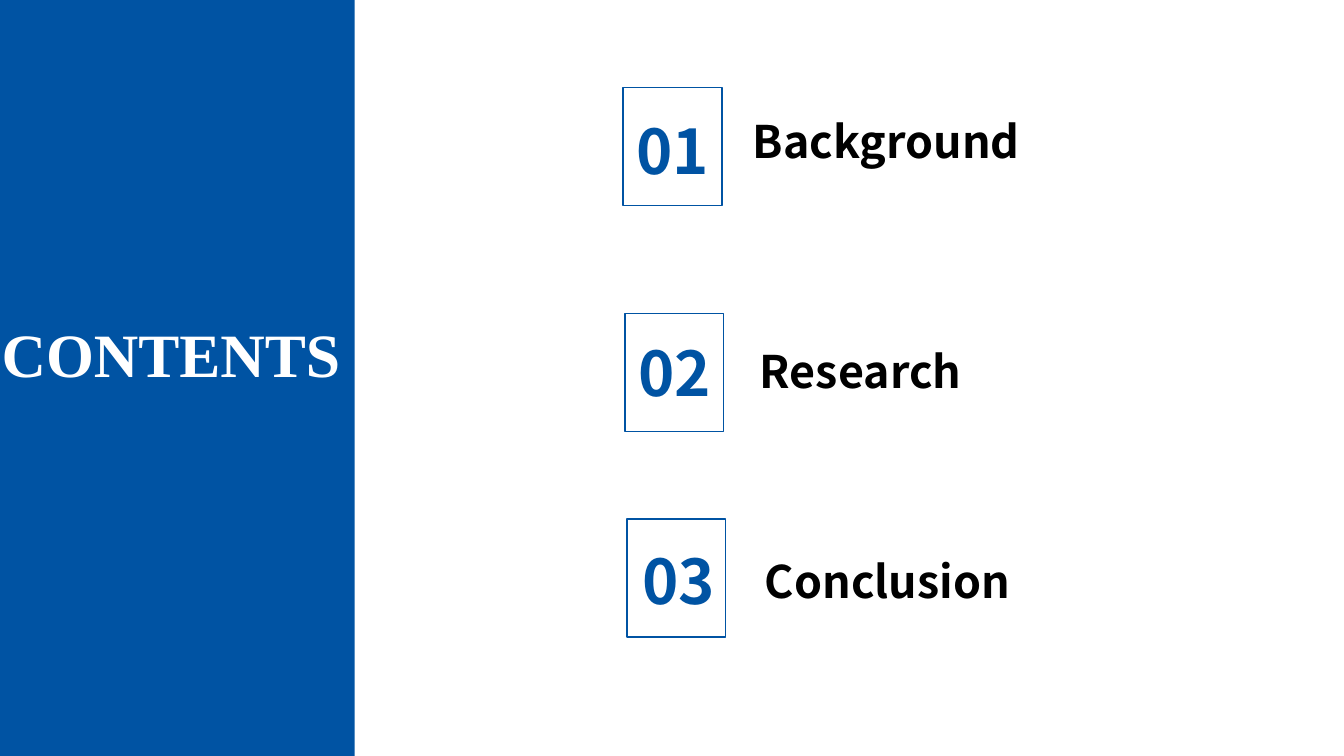
from pptx import Presentation
from pptx.dml.color import RGBColor
from pptx.enum.shapes import MSO_SHAPE
from pptx.enum.text import MSO_ANCHOR, MSO_AUTO_SIZE, PP_ALIGN
from pptx.util import Pt

COLORS = {"blue": "0053A3", "white": "FFFFFF", "black": "000000"}
SANS, SERIF = "Noto Sans CJK SC", "Times New Roman"

TITLE = "CONTENTS"
# number, label, then (left, top) of frame and (left, top, width) of each text
SECTIONS = [
    ("01", "Background", (445, 62.6), (445, 77, 70.6), (530.6, 77.8, 229)),
    ("02", "Research", (446.4, 223.9), (445, 235.4, 73.4), (535.7, 241.9, 202.3)),
    ("03", "Conclusion", (447.8, 370.8), (447.8, 384.5, 74.2), (539.3, 391.7, 200.9)),
]
FRAME_W, FRAME_H = 70.6, 84.2
NUMBER_H, LABEL_H = 60.5, 46


def rgb(name):
    return RGBColor.from_string(COLORS[name])


def write(sp, text, size, color, font=SANS, align=PP_ALIGN.LEFT):
    tf = sp.text_frame
    tf.word_wrap = True
    tf.auto_size = MSO_AUTO_SIZE.SHAPE_TO_FIT_TEXT
    tf.vertical_anchor = MSO_ANCHOR.TOP
    p = tf.paragraphs[0]
    p.alignment = align
    r = p.add_run()
    r.text = text
    r.font.name, r.font.size, r.font.bold = font, Pt(size), True
    r.font.color.rgb = rgb(color)


def add_rect(shapes, left, top, width, height, fill=None, line=None):
    sp = shapes.add_shape(MSO_SHAPE.RECTANGLE, Pt(left), Pt(top), Pt(width), Pt(height))
    sp.shadow.inherit = False
    if fill:
        sp.fill.solid()
        sp.fill.fore_color.rgb = rgb(fill)
    else:
        sp.fill.background()
    if line:
        sp.line.color.rgb = rgb(line)
        sp.line.width = Pt(1)
    else:
        sp.line.fill.background()
    return sp


def add_section(s, number, label, frame_at, number_at, label_at):
    shapes = s.shapes.add_group_shape().shapes
    x, y, w = label_at
    write(shapes.add_textbox(Pt(x), Pt(y), Pt(w), Pt(LABEL_H)), label, 32, "black")
    x, y, w = number_at
    write(shapes.add_textbox(Pt(x), Pt(y), Pt(w), Pt(NUMBER_H)), number, 44, "blue",
          align=PP_ALIGN.CENTER)
    add_rect(shapes, *frame_at, FRAME_W, FRAME_H, line="blue")


prs = Presentation()
prs.slide_width, prs.slide_height = Pt(960), Pt(540)
s = prs.slides.add_slide(prs.slide_layouts[5])

panel = add_rect(s.shapes, 0, 0, 253.4, 540, fill="blue")
title = s.shapes.title
title.left, title.top, title.width, title.height = Pt(-9.4), Pt(221.8), Pt(260), Pt(60.5)
write(title, TITLE, 44, "white", font=SERIF, align=PP_ALIGN.RIGHT)
panel.element.addnext(title.element)  # title sits in front of the panel

for section in SECTIONS:
    add_section(s, *section)

prs.save("out.pptx")
